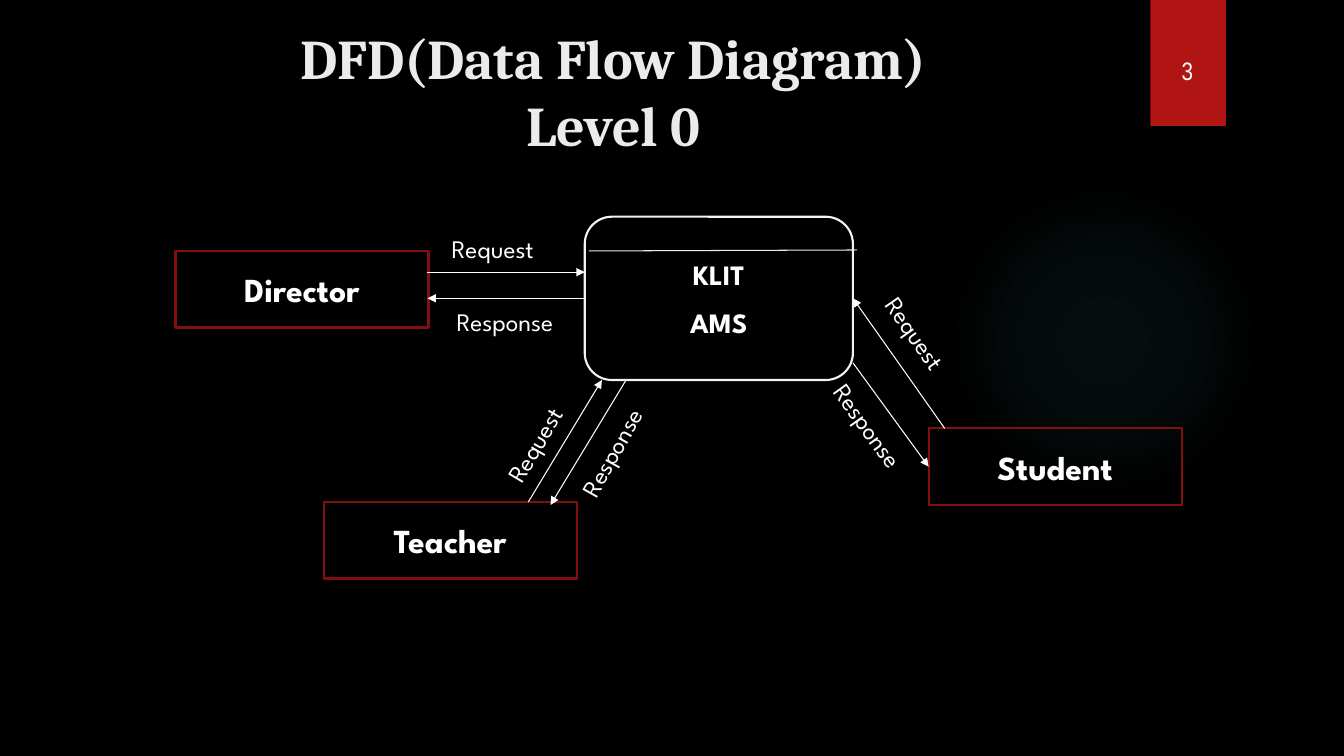
from dataclasses import dataclass

import lxml.etree
import pptx
import pptx.dml.color
import pptx.enum.shapes
import pptx.enum.text
import pptx.oxml
import pptx.oxml.ns
import pptx.util

PX = 9144  # EMU per px, 100 px to the inch
SHAPE = pptx.enum.shapes.MSO_SHAPE
ALIGN = pptx.enum.text.PP_ALIGN
ANCHOR = pptx.enum.text.MSO_ANCHOR


@dataclass(frozen=True)
class Theme:
    background: str = "000000"
    glow: str = "50B9C1"
    accent: str = "B01513"
    entity_line: str = "82100E"
    process_line: str = "F3F3F3"
    title: str = "EBEBEB"
    text: str = "FFFFFF"
    title_font: str = "Cambria"
    body_font: str = "League Spartan"
    number_font: str = "Arial Narrow"
    title_size: int = 40
    entity_size: int = 24
    process_size: int = 20
    label_size: int = 18
    outline: float = 1.5
    hairline: float = 0.75


THEME = Theme()


def rgb(value):
    return pptx.dml.color.RGBColor.from_string(value)


def emu(*lengths):
    return [n * PX for n in lengths]


def write(sp, lines, font, size, color, bold=False, align=ALIGN.LEFT,
          anchor=ANCHOR.TOP, before=0):
    tf = sp.text_frame
    tf.word_wrap = True
    tf.vertical_anchor = anchor
    tf.text = "\n".join(lines)
    for p in tf.paragraphs:
        p.alignment = align
        p.space_before = pptx.util.Pt(before)
        p.font.name = font
        p.font.size = pptx.util.Pt(size)
        p.font.bold = bold
        p.font.color.rgb = rgb(color)


def add_shape(slide, kind, box, fill=None, line=None):
    sp = slide.shapes.add_shape(kind, *emu(*box))
    sp.shadow.inherit = False
    if fill:
        sp.fill.solid()
        sp.fill.fore_color.rgb = rgb(fill)
    else:
        sp.fill.background()
    if line:
        sp.line.color.rgb = rgb(line)
        sp.line.width = pptx.util.Pt(THEME.outline)
    else:
        sp.line.fill.background()
    return sp


def add_line(slide, start, end, color, arrow=False):
    line = slide.shapes.add_connector(
        pptx.enum.shapes.MSO_CONNECTOR.STRAIGHT, *emu(*start, *end))
    line.line.color.rgb = rgb(color)
    line.line.width = pptx.util.Pt(THEME.hairline)
    if arrow:
        lxml.etree.SubElement(line.line._get_or_add_ln(),
                              pptx.oxml.ns.qn("a:tailEnd"), type="triangle")
    lxml.etree.SubElement(line._element.spPr, pptx.oxml.ns.qn("a:effectLst"))
    return line


def add_glow(slide, box):
    """Draw a circle whose faint colour fades out towards its edge."""
    sp = add_shape(slide, SHAPE.OVAL, box)
    stops = "".join(
        f'<a:gs pos="{pos * 1000}"><a:srgbClr val="{THEME.glow}">'
        f'<a:alpha val="{alpha * 1000}"/></a:srgbClr></a:gs>'
        for pos, alpha in ((0, 7), (36, 6), (69, 0), (100, 0)))
    gradient = pptx.oxml.parse_xml(
        f'<a:gradFill {pptx.oxml.ns.nsdecls("a")}><a:gsLst>{stops}</a:gsLst>'
        '<a:path path="circle"><a:fillToRect l="50000" t="50000" r="50000" '
        'b="50000"/></a:path></a:gradFill>')
    spPr = sp._element.spPr
    spPr.replace(spPr.find(pptx.oxml.ns.qn("a:noFill")), gradient)


def add_title(slide, box, text):
    sp = slide.shapes.add_textbox(*emu(*box))
    write(sp, [text], THEME.title_font, THEME.title_size, THEME.title,
          bold=True, align=ALIGN.CENTER)


def add_page_tab(slide, box, number):
    x, y, _, _ = box
    add_shape(slide, SHAPE.RECTANGLE, box, fill=THEME.accent)
    sp = slide.shapes.add_textbox(*emu(x + 21, y + 50, 35, 40))
    write(sp, [number], THEME.number_font, THEME.label_size, THEME.text)


def add_label(slide, box, text, angle):
    sp = slide.shapes.add_textbox(*emu(*box))
    sp.rotation = angle
    write(sp, [text], THEME.body_font, THEME.label_size, THEME.text)


def add_diagram(slide, box):
    left, top, _, _ = box
    sites = {}  # side midpoint -> (shape, connection site)

    def at(x, y):
        return left + x, top + y

    def add_node(kind, place, size, line, lines, text_size, before=0):
        (x, y), (w, h) = at(*place), size
        sp = add_shape(slide, kind, (x, y, w, h), line=line)
        write(sp, lines, THEME.body_font, text_size, THEME.text, bold=True,
              align=ALIGN.CENTER, anchor=ANCHOR.MIDDLE, before=before)
        middles = ((x + w // 2, y), (x, y + h // 2),
                   (x + w // 2, y + h), (x + w, y + h // 2))
        sites.update((point, (sp, i)) for i, point in enumerate(middles))

    add_node(SHAPE.ROUNDED_RECTANGLE, (406, 0), (266, 162),
             THEME.process_line, ["KLIT", "AMS"], THEME.process_size, before=10)
    add_line(slide, at(410, 34), at(676, 33), THEME.title)

    for name, place in (("Director", (0, 34)), ("Teacher", (147, 283)),
                        ("Student", (747, 210))):
        add_node(SHAPE.RECTANGLE, place, (251, 76), THEME.entity_line,
                 [name], THEME.entity_size)

    widths = {"Request": 122, "Response": 137}
    flows = (  # text, start, end, label place, label angle
        ("Request", (250, 55), (406, 55), (264, 12), 0),
        ("Response", (406, 81), (250, 81), (269, 84), 0),
        ("Request", (350, 283), (423, 162), (300, 197), 300.4),
        ("Response", (447, 162), (372, 286), (369, 204), 299.2),
        ("Request", (763, 210), (672, 81), (679, 104), 55.2),
        ("Response", (672, 145), (747, 248), (625, 196), 54.2),
    )
    for text, start, end, place, angle in flows:
        start, end = at(*start), at(*end)
        line = add_line(slide, start, end, THEME.text, arrow=True)
        if start in sites:
            line.begin_connect(*sites[start])
        if end in sites:
            line.end_connect(*sites[end])
        add_label(slide, (*at(*place), widths[text], 40), text, angle)


def main():
    prs = pptx.Presentation()
    prs.slide_width, prs.slide_height = emu(1333, 750)
    slide = prs.slides.add_slide(prs.slide_layouts[6])
    slide.background.fill.solid()
    slide.background.fill.fore_color.rgb = rgb(THEME.background)
    add_glow(slide, (941, 183, 308, 308))
    add_page_tab(slide, (1141, 0, 75, 125), "3")
    add_title(slide, (64, 18, 1089, 176), "DFD(Data Flow Diagram)\vLevel 0")
    add_diagram(slide, (174, 215, 998, 359))
    prs.save("out.pptx")


if __name__ == "__main__":
    main()
